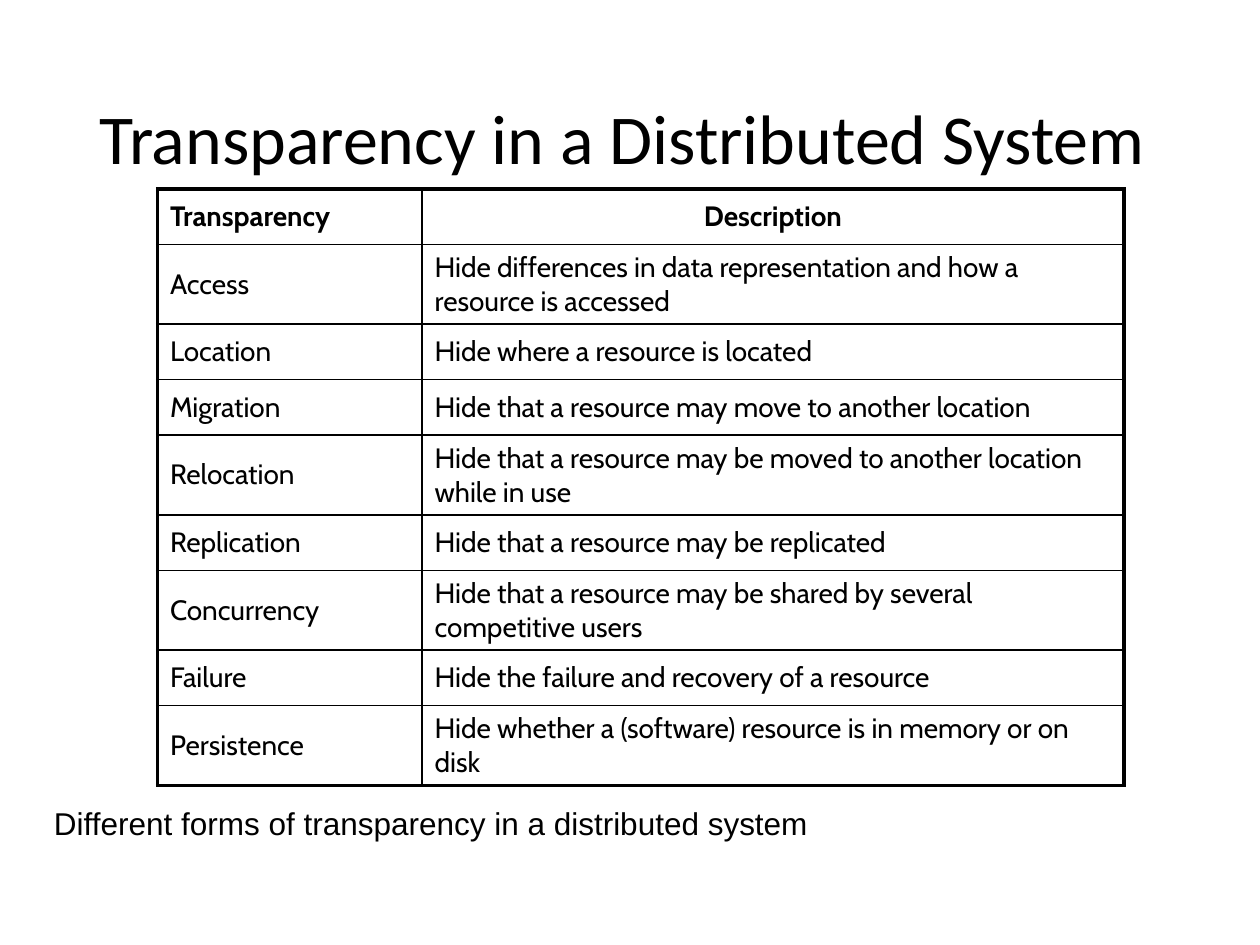
import pptx
import pptx.dml.color
import pptx.enum.text
import pptx.oxml.ns
import pptx.util
from lxml import etree
from pptx.util import Inches

COLORS = {"ink": "000000"}
ANCHOR = pptx.enum.text.MSO_ANCHOR
ALIGN = pptx.enum.text.PP_ALIGN
OUTER, INNER = 2.25, 1
FORMS = [
    ("Transparency", "Description"),
    ("Access", "Hide differences in data representation and how a resource is accessed"),
    ("Location", "Hide where a resource is located"),
    ("Migration", "Hide that a resource may move to another location"),
    ("Relocation", "Hide that a resource may be moved to another location while in use"),
    ("Replication", "Hide that a resource may be replicated"),
    ("Concurrency", "Hide that a resource may be shared by several competitive users"),
    ("Failure", "Hide the failure and recovery of a resource"),
    ("Persistence", "Hide whether a (software) resource is in memory or on disk"),
]
COLUMN_WIDTHS = [2.1, 5.57]
ONE_LINE, TWO_LINES = 0.44, 0.63
LONGEST_LINE = 50


def write(frame, text, font_name, size, bold=False, align=ALIGN.LEFT):
    frame.text = text
    paragraph = frame.paragraphs[0]
    paragraph.alignment = align
    font = paragraph.runs[0].font
    font.name = font_name
    font.size = pptx.util.Pt(size)
    font.bold = bold
    font.color.rgb = pptx.dml.color.RGBColor.from_string(COLORS["ink"])
    return paragraph


def add_text(slide, box, text, font_name, size, anchor=ANCHOR.TOP):
    frame = slide.shapes.add_textbox(*map(Inches, box)).text_frame
    frame.word_wrap = True
    frame.vertical_anchor = anchor
    return write(frame, text, font_name, size)


def set_borders(cell, widths):
    properties = cell._tc.get_or_add_tcPr()
    for position, (side, width) in enumerate(widths.items()):
        line = etree.Element(pptx.oxml.ns.qn(f"a:ln{side}"), w=str(pptx.util.Pt(width)))
        fill = etree.SubElement(line, pptx.oxml.ns.qn("a:solidFill"))
        etree.SubElement(fill, pptx.oxml.ns.qn("a:srgbClr"), val=COLORS["ink"])
        properties.insert(position, line)


def add_forms_table(slide):
    heights = [TWO_LINES if len(description) > LONGEST_LINE else ONE_LINE
               for _, description in FORMS]
    last_row, last_column = len(FORMS) - 1, len(COLUMN_WIDTHS) - 1
    forms = slide.shapes.add_table(
        len(FORMS), len(COLUMN_WIDTHS), Inches(1.25), Inches(1.5),
        Inches(sum(COLUMN_WIDTHS)), Inches(sum(heights))).table
    forms.horz_banding = False
    for column, width in zip(forms.columns, COLUMN_WIDTHS):
        column.width = Inches(width)
    for r, (height, entries) in enumerate(zip(heights, FORMS)):
        forms.rows[r].height = Inches(height)
        for c, entry in enumerate(entries):
            cell = forms.cell(r, c)
            cell.fill.background()
            cell.vertical_anchor = ANCHOR.MIDDLE
            centered = r == 0 and c == last_column
            write(cell.text_frame, entry, "Cabin", 16, bold=r == 0,
                  align=ALIGN.CENTER if centered else ALIGN.LEFT)
            set_borders(cell, {
                "L": OUTER if c == 0 else INNER,
                "R": OUTER if c == last_column else INNER,
                "T": OUTER if r == 0 else INNER,
                "B": OUTER if r == last_row else INNER,
            })


def main():
    deck = pptx.Presentation()
    deck.slide_width, deck.slide_height = Inches(10), Inches(7.5)
    slide = deck.slides.add_slide(deck.slide_layouts[6])
    title = add_text(slide, (0.69, 0.4, 8.62, 1.45),
                     "Transparency in a Distributed System", "Calibri", 40, ANCHOR.MIDDLE)
    title.line_spacing = 0.9
    add_text(slide, (0.33, 6.33, 9.25, 0.5),
             "Different forms of transparency in a distributed system", "Arial", 18)
    add_forms_table(slide)
    deck.save("out.pptx")


if __name__ == "__main__":
    main()
